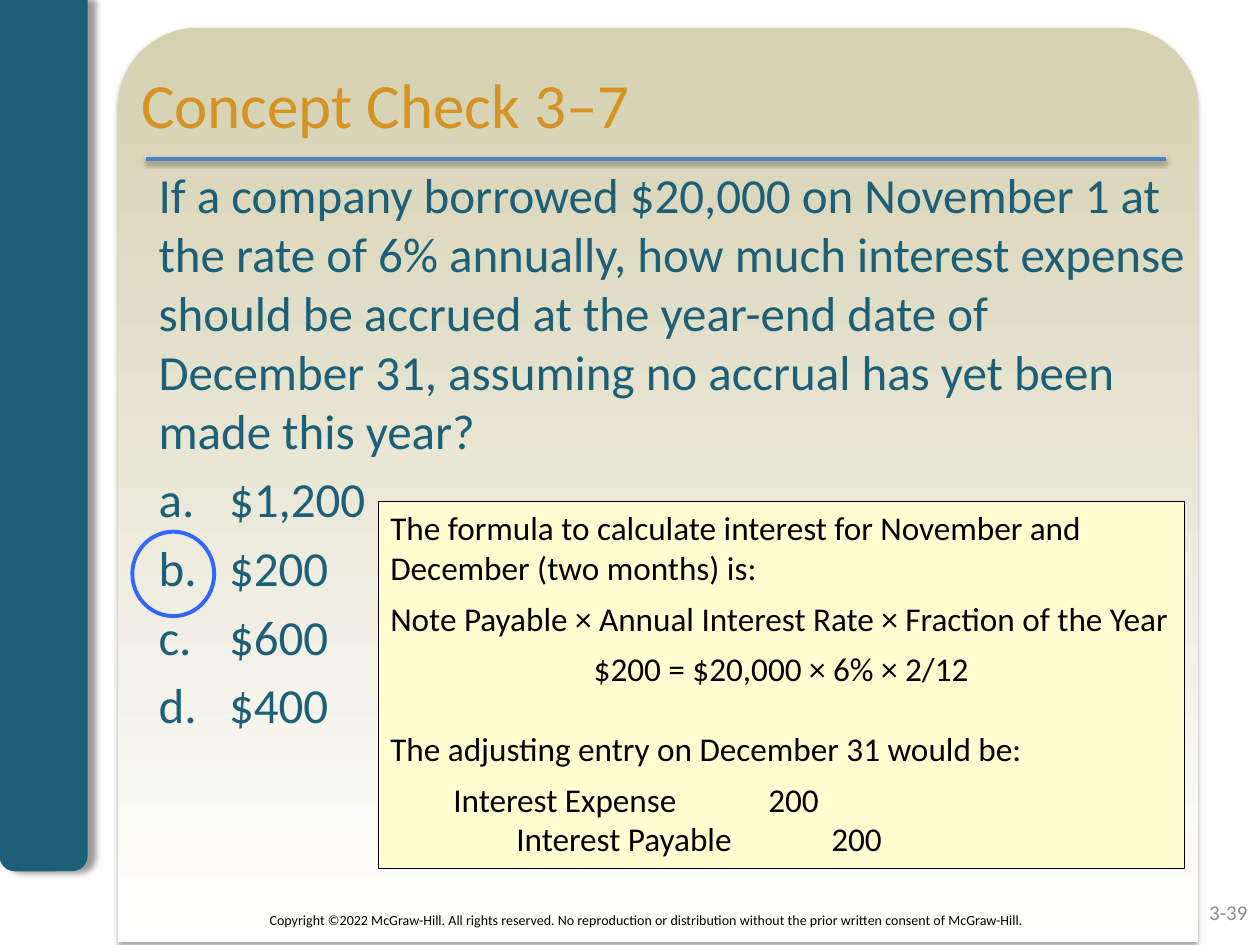
"""Build the Concept Check 3-7 slide with its question, answers and worked note."""
from pptx import Presentation
from pptx.dml.color import RGBColor as RGB
from pptx.enum.shapes import MSO_CONNECTOR as LINK, MSO_SHAPE as FORM
from pptx.enum.text import MSO_ANCHOR as ANCHOR, MSO_AUTO_SIZE as AUTO, PP_ALIGN as ALIGN
from pptx.oxml import parse_xml
from pptx.oxml.ns import nsdecls
from pptx.util import Inches, Pt

THEME = {
    "font": "Calibri",
    "title": (36, RGB.from_string("D49323")),
    "body": (28, RGB.from_string("1D5F76")),
    "note": (19, RGB.from_string("000000")),
    "foot": (8, RGB.from_string("000000")),
    "page": (12, RGB.from_string("8C8C8C")),
    "teal": RGB.from_string("1D5F76"),
    "sand": RGB.from_string("D4D0B0"),
    "white": RGB.from_string("FFFFFF"),
    "rule": RGB.from_string("4F81BD"),
    "ring": RGB.from_string("3366FF"),
    "cream": RGB.from_string("FFFFD1"),
    "black": RGB.from_string("000000"),
}


def cast(shape, alpha=0, blur=0, dist=0, angle=0):
    shade = (
        f'<a:outerShdw blurRad="{Pt(blur)}" dist="{Pt(dist)}" dir="{angle * 60000}" rotWithShape="0">'
        f'<a:srgbClr val="000000"><a:alpha val="{alpha * 1000}"/></a:srgbClr></a:outerShdw>'
    ) if alpha else ""
    shape.element.spPr.append(parse_xml(f'<a:effectLst {nsdecls("a")}>{shade}</a:effectLst>'))


def write(frame, lines, style, anchor=ANCHOR.TOP, align=ALIGN.LEFT):
    frame.word_wrap = True
    frame.auto_size = AUTO.NONE
    frame.vertical_anchor = anchor
    frame.text = "\n".join(lines)
    size, color = THEME[style]
    for para in frame.paragraphs:
        para.alignment = align
        for run in para.runs:
            run.font.name = THEME["font"]
            run.font.size = Pt(size)
            run.font.color.rgb = color


deck = Presentation()
deck.slide_width, deck.slide_height = Inches(10), Inches(7.5)
slide = deck.slides.add_slide(deck.slide_layouts[5])
shapes = slide.shapes

panel = shapes.add_shape(FORM.ROUND_2_SAME_RECTANGLE, Inches(0.94), Inches(0.22), Inches(8.57), Inches(7.26))
panel.adjustments[0] = 0.087
panel.fill.gradient()
panel.fill.gradient_angle = 270
for stop, color in zip(panel.fill.gradient_stops, ("sand", "white")):
    stop.color.rgb = THEME[color]
panel.line.fill.background()
cast(panel, 35, 3.1, 1.8, 90)

bar = shapes.add_shape(FORM.ROUND_2_SAME_RECTANGLE, 0, 0, Inches(0.69), Inches(6.91))
bar.adjustments[0], bar.adjustments[1] = 0, 0.17
bar.fill.solid()
bar.fill.fore_color.rgb = THEME["teal"]
bar.line.color.rgb = THEME["teal"]
bar.line.width = Pt(0.75)
cast(bar, 40, 4, 4, 0)

rule = shapes.add_connector(LINK.STRAIGHT, Inches(1.16), Inches(1.26), Inches(9.25), Inches(1.26))
rule.line.color.rgb = THEME["rule"]
rule.line.width = Pt(2)
cast(rule, 38, 3.1, 1.6, 90)

page = shapes.add_textbox(Inches(7.67), Inches(7.04), Inches(2.33), Inches(0.4))
write(page.text_frame, ["3-39"], "page", ANCHOR.MIDDLE, ALIGN.RIGHT)

body = shapes.add_textbox(Inches(1.16), Inches(1.26), Inches(8.35), Inches(4.85))
write(body.text_frame, [
    "If a company borrowed $20,000 on November 1 at the rate of 6% annually, how much interest expense "
    "should be accrued at the year-end date of December 31, assuming no accrual has yet been made this year?",
    "$1,200", "$200", "$600", "$400",
], "body")
for item in body.text_frame.paragraphs[1:]:
    item.space_before = Pt(5.6)
    props = item._p.get_or_add_pPr()
    props.set("marL", str(Inches(0.56)))
    props.set("indent", str(-Inches(0.56)))
    props.append(parse_xml(f'<a:buAutoNum {nsdecls("a")} type="alphaLcPeriod"/>'))

title = shapes.title
title.left, title.top, title.width, title.height = Inches(1.02), Inches(0.47), Inches(8.66), Inches(0.87)
write(title.text_frame, ["Concept Check 3–7"], "title")
body.element.addnext(title.element)

ring = shapes.add_shape(FORM.OVAL, Inches(1.05), Inches(4.22), Inches(0.65), Inches(0.67))
ring.fill.background()
ring.line.color.rgb = THEME["ring"]
ring.line.width = Pt(2.25)
ring.shadow.inherit = False

note = shapes.add_shape(FORM.RECTANGLE, Inches(3), Inches(3.98), Inches(6.4), Inches(2.91))
note.fill.solid()
note.fill.fore_color.rgb = THEME["cream"]
note.line.color.rgb = THEME["black"]
note.line.width = Pt(0.5)
note.shadow.inherit = False
write(note.text_frame, [
    "The formula to calculate interest for November and December (two months) is:",
    "Note Payable × Annual Interest Rate × Fraction of the Year",
    "$200 = $20,000 × 6% × 2/12",
    "The adjusting entry on December 31 would be:",
    "\tInterest Expense\t200",
    "\tInterest Payable\t200",
], "note")
paras = note.text_frame.paragraphs
for para, gap in zip(paras, (0, 6, 6, 23, 6, 0)):
    para.space_before = Pt(gap)
paras[2].alignment = ALIGN.CENTER
for para, start in zip(paras[4:], (0.5, 1)):
    tabs = "".join(f'<a:tab pos="{Inches(spot)}" algn="l"/>' for spot in (start, start + 2.5))
    para._p.get_or_add_pPr().append(parse_xml(f'<a:tabLst {nsdecls("a")}>{tabs}</a:tabLst>'))

foot = shapes.add_textbox(Inches(1.56), Inches(7.1), Inches(7.15), Inches(0.4))
write(foot.text_frame, [
    "Copyright ©2022 McGraw-Hill. All rights reserved. No reproduction or distribution "
    "without the prior written consent of McGraw-Hill."
], "foot", ANCHOR.MIDDLE, ALIGN.CENTER)

deck.save("out.pptx")
